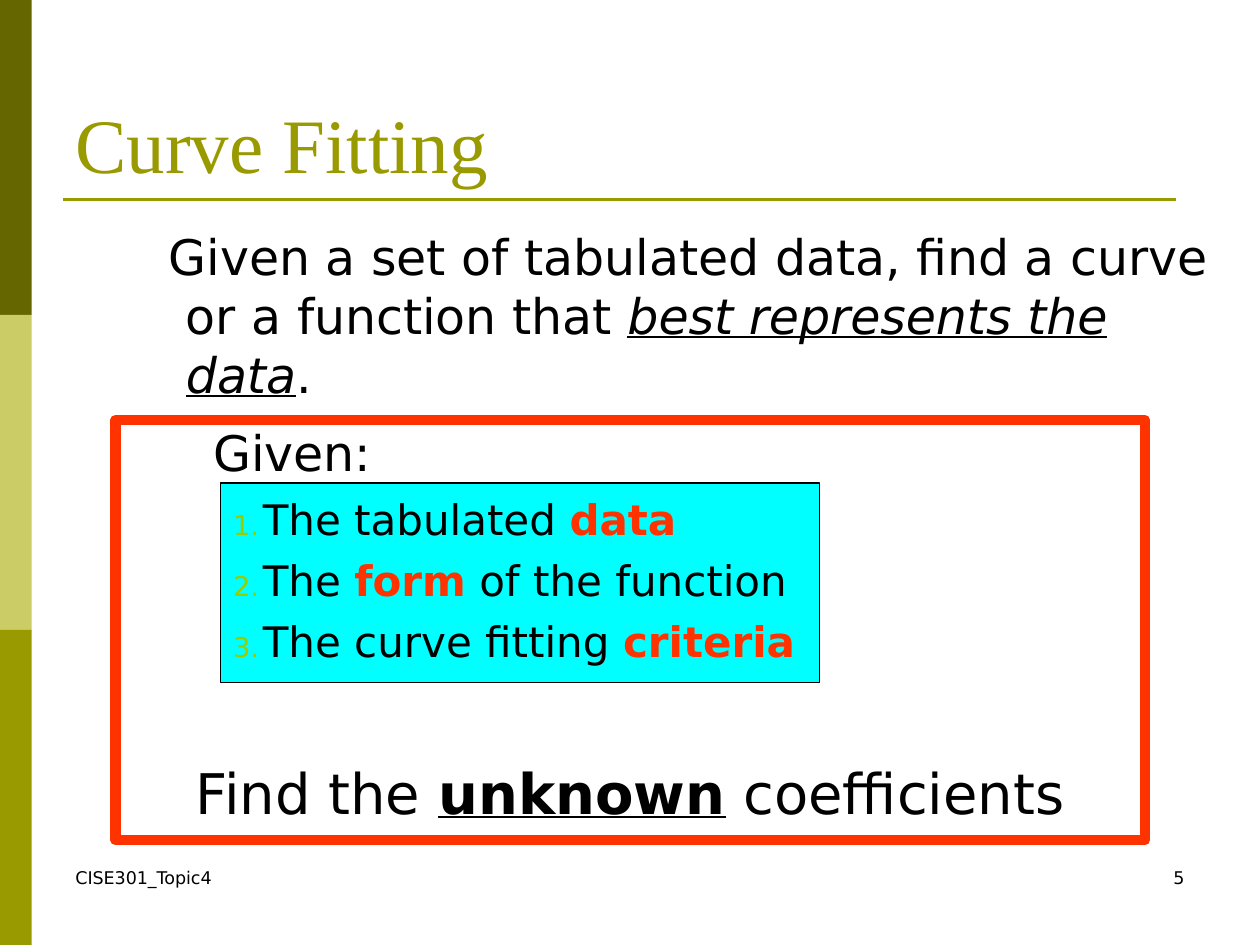
from dataclasses import dataclass

from lxml import etree
from pptx import Presentation
from pptx.dml.color import RGBColor
from pptx.enum import shapes, text
from pptx.oxml import ns
from pptx.util import Cm, Pt


@dataclass(frozen=True)
class Theme:
    """Colours, fonts and type sizes of the slide."""

    dark_olive: str = "666600"
    light_olive: str = "CCCC66"
    olive: str = "999900"
    ink: str = "000000"
    red: str = "FF3300"
    cyan: str = "00FFFF"
    number: str = "99CC00"
    title_font: str = "Times New Roman"
    body_font: str = "DejaVu Sans"
    title_size: int = 44
    find_size: int = 32
    body_size: int = 28
    list_size: int = 24
    footer_size: int = 10


THEME = Theme()
KEYWORD = {"bold": True, "color": THEME.red}
BEST = {"italic": True, "underline": True}
UNKNOWN = {"bold": True, "underline": True}
LIST_ITEMS = [
    [("The tabulated ", {}), ("data", KEYWORD)],
    [("The ", {}), ("form", KEYWORD), (" of the function", {})],
    [("The curve fitting ", {}), ("criteria", KEYWORD)],
]


def add_rectangle(slide, left, top, width, height, fill=None, line=None, weight=0):
    """Add a flat rectangle with optional fill and outline."""
    shape = slide.shapes.add_shape(
        shapes.MSO_SHAPE.RECTANGLE, Cm(left), Cm(top), Cm(width), Cm(height))
    shape.shadow.inherit = False
    if fill:
        shape.fill.solid()
        shape.fill.fore_color.rgb = RGBColor.from_string(fill)
    else:
        shape.fill.background()
    if line:
        shape.line.color.rgb = RGBColor.from_string(line)
        shape.line.width = Pt(weight)
    else:
        shape.line.fill.background()


def add_rule(slide, left, right, top):
    """Add the thin horizontal rule under the title."""
    rule = slide.shapes.add_connector(
        shapes.MSO_CONNECTOR.STRAIGHT, Cm(left), Cm(top), Cm(right), Cm(top))
    rule.line.color.rgb = RGBColor.from_string(THEME.olive)
    rule.line.width = Pt(1.5)
    etree.SubElement(rule._element.spPr, ns.qn("a:effectLst"))


def add_text_box(slide, left, top, width, height, anchor=text.MSO_ANCHOR.TOP):
    """Add a wrapping text box and return its text frame."""
    frame = slide.shapes.add_textbox(Cm(left), Cm(top), Cm(width), Cm(height)).text_frame
    frame.word_wrap = True
    frame.vertical_anchor = anchor
    return frame


def style_paragraph(paragraph, size, font=THEME.body_font, color=THEME.ink):
    """Set the font shared by all runs of a paragraph."""
    paragraph.font.name = font
    paragraph.font.size = Pt(size)
    paragraph.font.color.rgb = RGBColor.from_string(color)


def set_indent(paragraph, margin, first_line=0):
    """Set the left margin and the first-line offset of a paragraph."""
    properties = paragraph._p.get_or_add_pPr()
    properties.set("marL", str(Cm(margin)))
    properties.set("indent", str(Cm(first_line)))


def number_paragraph(paragraph):
    """Give a paragraph a small coloured automatic number."""
    properties = paragraph._p.get_or_add_pPr()
    color = etree.SubElement(properties, ns.qn("a:buClr"))
    etree.SubElement(color, ns.qn("a:srgbClr"), val=THEME.number)
    etree.SubElement(properties, ns.qn("a:buSzPct"), val="65000")
    etree.SubElement(properties, ns.qn("a:buAutoNum"), type="arabicPeriod")


def fill_paragraph(paragraph, pieces, size, margin, first_line=0, before=0, numbered=False):
    """Write styled runs into an indented paragraph."""
    set_indent(paragraph, margin, first_line)
    if numbered:
        number_paragraph(paragraph)
    if before:
        paragraph.space_before = Pt(before)
    style_paragraph(paragraph, size)
    for words, style in pieces:
        run = paragraph.add_run()
        run.text = words
        run.font.bold = style.get("bold")
        run.font.italic = style.get("italic")
        run.font.underline = style.get("underline")
        if "color" in style:
            run.font.color.rgb = RGBColor.from_string(style["color"])


def add_label(slide, words, left, top, width, height, size, font=THEME.body_font,
              color=THEME.ink, align=text.PP_ALIGN.LEFT, anchor=text.MSO_ANCHOR.TOP):
    """Add a text box holding one plain line."""
    paragraph = add_text_box(slide, left, top, width, height, anchor).paragraphs[0]
    paragraph.text = words
    paragraph.alignment = align
    style_paragraph(paragraph, size, font, color)


def add_body(slide):
    """Add the problem statement, the numbered givens and the goal."""
    frame = add_text_box(slide, 1.9, 4.45, 23.07, 12.7)
    statement = [
        ("Given a set of tabulated data, find a curve or a function that ", {}),
        ("best represents the data", BEST), (".", {})]
    fill_paragraph(frame.paragraphs[0], statement, THEME.body_size, 1.6, -0.35)
    fill_paragraph(frame.add_paragraph(), [("Given:", {})], THEME.body_size, 2.15, before=11)
    for index, item in enumerate(LIST_ITEMS):
        fill_paragraph(frame.add_paragraph(), item, THEME.list_size, 3.15, -0.6,
                       before=6 if index else 7, numbered=True)
    goal = [("Find the ", {}), ("unknown", UNKNOWN), (" coefficients", {})]
    fill_paragraph(frame.add_paragraph(), goal, THEME.find_size, 1.8, before=53)


def main():
    """Build and save the slide."""
    presentation = Presentation()
    presentation.slide_width, presentation.slide_height = Cm(25.4), Cm(19.05)
    slide = presentation.slides.add_slide(presentation.slide_layouts[6])

    band_height = 6.35
    for index, color in enumerate((THEME.dark_olive, THEME.light_olive, THEME.olive)):
        add_rectangle(slide, 0, index * band_height, 0.64, band_height, color)
    add_rule(slide, 1.27, 23.71, 4.02)

    footer = {"top": 17.36, "width": 5.93, "height": 1.27, "size": THEME.footer_size}
    add_label(slide, "CISE301_Topic4", left=1.27, **footer)
    add_label(slide, "5", left=18.2, align=text.PP_ALIGN.RIGHT, **footer)

    add_rectangle(slide, 4.45, 9.74, 12.07, 4.02, THEME.cyan, THEME.ink, 0.75)
    add_label(slide, "Curve Fitting", 1.27, 0.76, 22.86, 3.18, THEME.title_size,
              THEME.title_font, THEME.olive, anchor=text.MSO_ANCHOR.BOTTOM)
    add_body(slide)
    add_rectangle(slide, 2.33, 8.47, 20.75, 8.47, line=THEME.red, weight=6)

    presentation.save("out.pptx")


if __name__ == "__main__":
    main()
